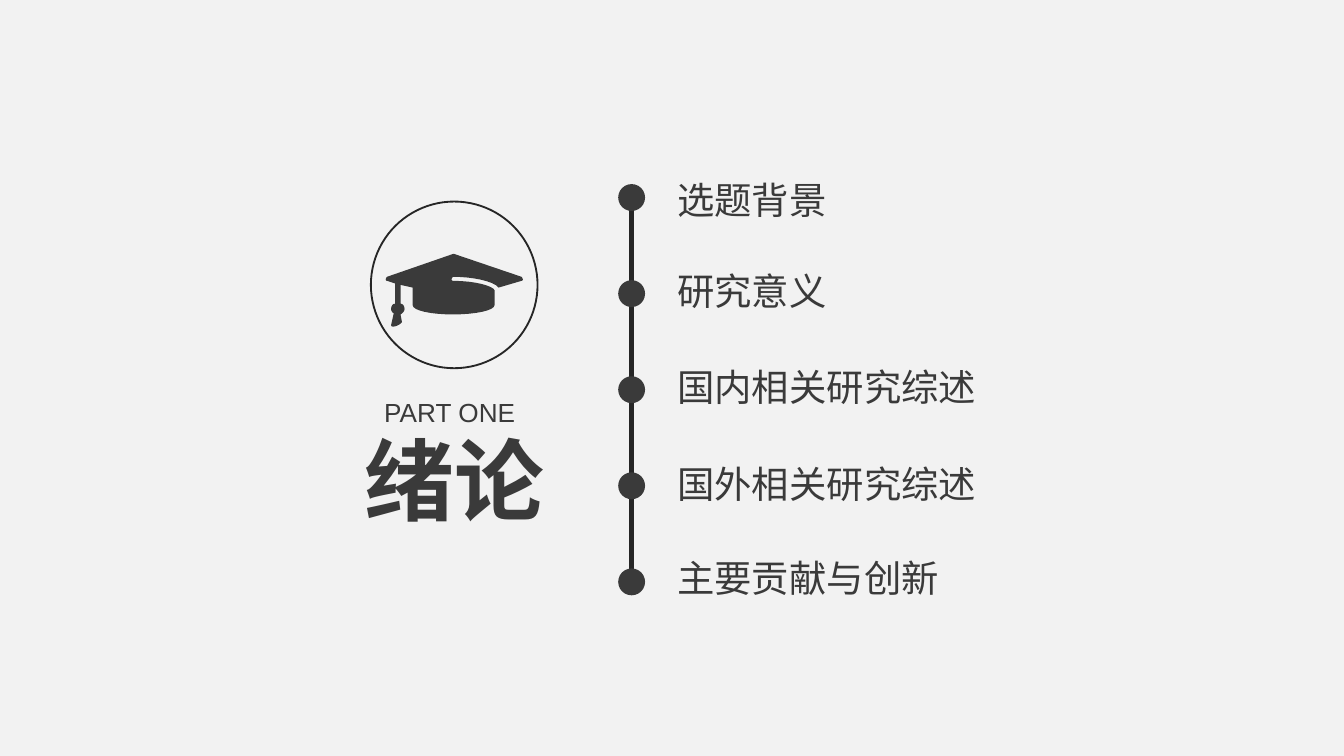
from lxml import etree
from pptx import Presentation
from pptx.dml.color import RGBColor
from pptx.enum.shapes import MSO_CONNECTOR, MSO_SHAPE
from pptx.enum.text import MSO_AUTO_SIZE, PP_ALIGN
from pptx.oxml.ns import qn
from pptx.util import Inches, Pt

OVAL = MSO_SHAPE.OVAL
STRAIGHT = MSO_CONNECTOR.STRAIGHT
LEFT, CENTER = PP_ALIGN.LEFT, PP_ALIGN.CENTER
FIT_SHAPE = MSO_AUTO_SIZE.SHAPE_TO_FIT_TEXT

PAPER, INK, RULE = "F2F2F2", "3A3A3A", "262626"
LATIN, CHINESE = "Arial", "Noto Sans CJK SC"
CURVE_STEPS = 8

CAP_START = (2.88, 2.06)
CAP_OUTLINE = [
    (3.37, 1.89), (3.38, 1.89), (3.88, 2.06),
    (3.88, 2.06, 3.89, 2.07, 3.89, 2.08),
    (3.89, 2.09, 3.88, 2.09, 3.88, 2.09),
    (3.71, 2.14),
    (3.67, 2.09, 3.51, 2.06, 3.37, 2.06),
    (3.37, 2.06, 3.36, 2.07, 3.36, 2.08),
    (3.36, 2.09, 3.37, 2.09, 3.37, 2.09),
    (3.54, 2.09, 3.67, 2.13, 3.68, 2.16),
    (3.68, 2.27),
    (3.68, 2.31, 3.54, 2.34, 3.37, 2.34),
    (3.2, 2.34, 3.07, 2.31, 3.07, 2.27),
    (3.07, 2.14), (2.98, 2.12), (2.98, 2.26),
    (3, 2.26, 3.01, 2.28, 3.01, 2.3),
    (3.01, 2.31, 3, 2.33, 2.98, 2.34),
    (2.99, 2.39),
    (3, 2.41, 2.91, 2.45, 2.91, 2.42),
    (2.93, 2.33),
    (2.92, 2.33, 2.91, 2.31, 2.91, 2.3),
    (2.91, 2.28, 2.92, 2.26, 2.94, 2.26),
    (2.94, 2.11), (2.88, 2.09),
    (2.88, 2.09, 2.87, 2.09, 2.87, 2.08),
    (2.87, 2.07, 2.88, 2.06, 2.88, 2.06),
]

TOPICS = [
    ("选题背景", 1.27, 1.32),
    ("研究意义", 1.95, 1.32),
    ("国内相关研究综述", 2.66, 2.45),
    ("国外相关研究综述", 3.38, 2.45),
    ("主要贡献与创新", 4.08, 2.17),
]
AXIS, DOT_SIZE = 4.7, 0.2
FIRST_DOT, LAST_DOT = 1.37, 4.23
DOT_STEP = (LAST_DOT - FIRST_DOT) / (len(TOPICS) - 1)


def color(value):
    return RGBColor.from_string(value)


def flatten(start, segments):
    points = [start]
    for segment in segments:
        if len(segment) == 2:
            points.append(segment)
            continue
        corners = [points[-1], segment[:2], segment[2:4], segment[4:]]
        for step in range(1, CURVE_STEPS + 1):
            t = step / CURVE_STEPS
            weights = ((1 - t) ** 3, 3 * t * (1 - t) ** 2, 3 * t * t * (1 - t), t ** 3)
            points.append(tuple(
                sum(weight * corner[axis] for weight, corner in zip(weights, corners))
                for axis in (0, 1)
            ))
    return [(Inches(x), Inches(y)) for x, y in points]


class SlideWriter:
    def __init__(self, page):
        self.page = page
        page.background.fill.solid()
        page.background.fill.fore_color.rgb = color(PAPER)

    def paint(self, shape):
        shape.shadow.inherit = False
        shape.fill.solid()
        shape.fill.fore_color.rgb = color(INK)
        shape.line.fill.background()

    def circle(self, left, top, size):
        shape = self.page.shapes.add_shape(
            OVAL, Inches(left), Inches(top), Inches(size), Inches(size))
        self.paint(shape)
        return shape

    def ring(self, left, top, size):
        shape = self.circle(left, top, size)
        shape.fill.background()
        shape.line.color.rgb = color(RULE)
        shape.line.width = Pt(1)

    def outline(self, start, segments):
        points = flatten(start, segments)
        builder = self.page.shapes.build_freeform(*points[0])
        builder.add_line_segments(points[1:], close=True)
        self.paint(builder.convert_to_shape())

    def line(self, x, top, bottom):
        connector = self.page.shapes.add_connector(
            STRAIGHT, Inches(x), Inches(top), Inches(x), Inches(bottom))
        connector.line.color.rgb = color(RULE)
        connector.line.width = Pt(3)
        etree.SubElement(connector._element.spPr, qn("a:effectLst"))

    def text(self, words, left, top, width, height, size, font=LATIN,
             bold=False, align=LEFT, wrap=True):
        box = self.page.shapes.add_textbox(
            Inches(left), Inches(top), Inches(width), Inches(height))
        frame = box.text_frame
        frame.word_wrap = wrap
        frame.auto_size = FIT_SHAPE
        para = frame.paragraphs[0]
        para.text = words
        para.alignment = align
        para.font.size = Pt(size)
        para.font.bold = bold
        para.font.color.rgb = color(INK)
        para.font.name = font
        defaults = para._p.get_or_add_pPr().get_or_add_defRPr()
        etree.SubElement(defaults, qn("a:ea"), typeface=CHINESE)


def main():
    deck = Presentation()
    deck.slide_width = Inches(10)
    deck.slide_height = deck.slide_width * 9 // 16
    writer = SlideWriter(deck.slides.add_slide(deck.slide_layouts[6]))

    writer.ring(2.76, 1.5, 1.24)
    writer.outline(CAP_START, CAP_OUTLINE)
    writer.text("绪论", 2.58, 3.11, 1.6, 0.91, 48, bold=True, align=CENTER)
    writer.text("PART ONE", 2.76, 2.9, 1.19, 0.34, 14)

    writer.line(AXIS, 1.39, 4.33)
    for index, (topic, top, width) in enumerate(TOPICS):
        writer.circle(AXIS - DOT_SIZE / 2, FIRST_DOT + index * DOT_STEP, DOT_SIZE)
        writer.text(topic, 4.94, top, width, 0.44, 20, font=CHINESE, wrap=False)

    deck.save("out.pptx")


if __name__ == "__main__":
    main()
